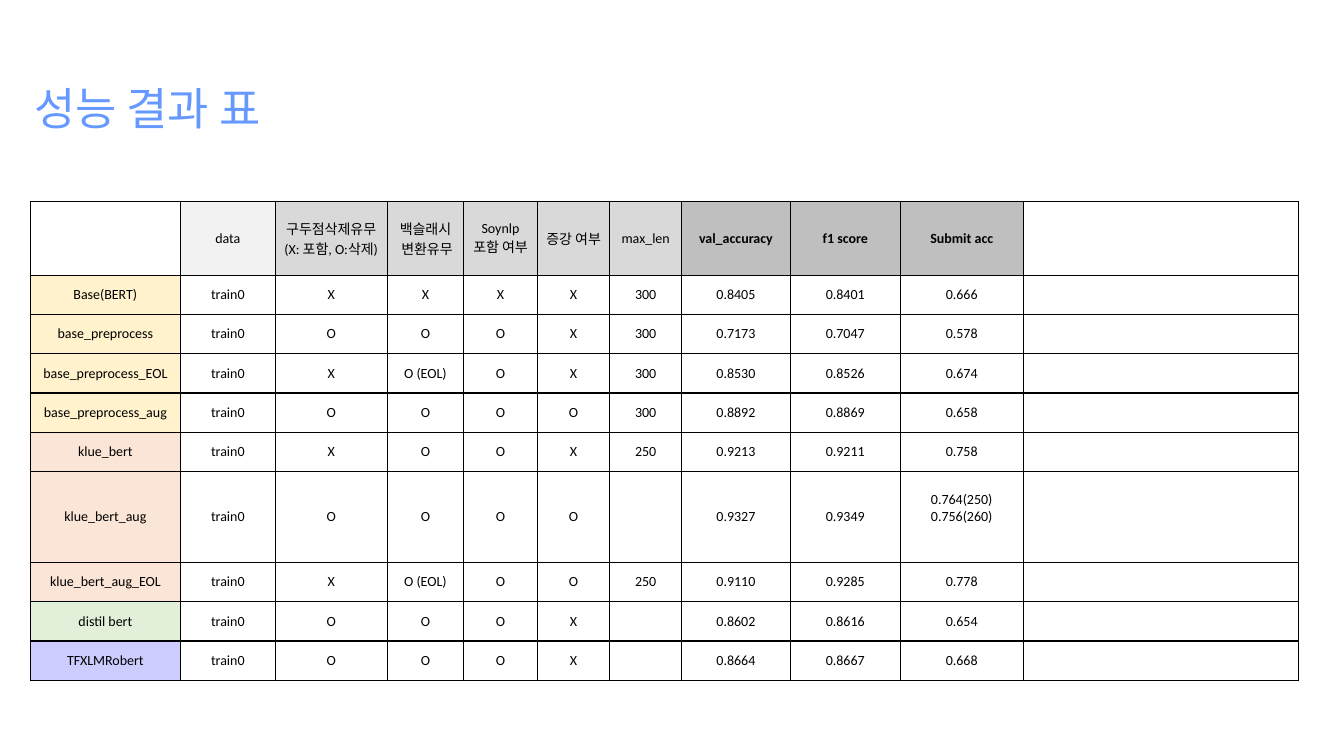
import dataclasses

import lxml.etree
import pptx
import pptx.dml.color
import pptx.enum.text
import pptx.oxml.ns
import pptx.table
import pptx.util

EMU_PER_PX = 9144


@dataclasses.dataclass(frozen=True)
class Theme:
    font: str = "Calibri"
    title_size: int = 32
    table_size: int = 10
    title: str = "6699FF"
    ink: str = "000000"
    blank: str = "FFFFFF"
    data_header: str = "F2F2F2"
    option_header: str = "D9D9D9"
    score_header: str = "BFBFBF"
    base: str = "FFF2CC"
    klue: str = "FBE5D6"
    distil: str = "E2F0D9"
    roberta: str = "CCCCFF"


@dataclasses.dataclass(frozen=True)
class Column:
    label: str
    width: int
    fill: str
    bold: bool = False


@dataclasses.dataclass(frozen=True)
class Result:
    model: str
    fill: str
    options: tuple[str, str, str, str]
    max_len: str
    scores: tuple[str, str, str]
    height: int = 39
    extra_bottom: int = 0

    def texts(self) -> list[str]:
        return [self.model, "train0", *self.options, self.max_len, *self.scores, ""]


THEME = Theme()
HEADER_HEIGHT = 73
COLUMNS = [
    Column("", 149, THEME.blank),
    Column("data", 94, THEME.data_header),
    Column("구두점삭제유무\n(X: 포함, O:삭제)", 111, THEME.option_header),
    Column("백슬래시\n 변환유무", 76, THEME.option_header),
    Column("Soynlp\n포함 여부", 73, THEME.option_header),
    Column("증강 여부", 72, THEME.option_header),
    Column("max_len", 71, THEME.option_header),
    Column("val_accuracy", 108, THEME.score_header, True),
    Column("f1 score", 109, THEME.score_header, True),
    Column("Submit acc", 122, THEME.score_header, True),
    Column("", 273, THEME.blank),
]
RESULTS = [
    Result("Base(BERT)", THEME.base, ("X", "X", "X", "X"), "300", ("0.8405", "0.8401", "0.666")),
    Result("base_preprocess", THEME.base, ("O", "O", "O", "X"), "300", ("0.7173", "0.7047", "0.578")),
    Result("base_preprocess_EOL", THEME.base, ("X", "O (EOL)", "O", "X"), "300", ("0.8530", "0.8526", "0.674")),
    Result("base_preprocess_aug", THEME.base, ("O", "O", "O", "O"), "300", ("0.8892", "0.8869", "0.658")),
    Result("klue_bert", THEME.klue, ("X", "O", "O", "X"), "250", ("0.9213", "0.9211", "0.758")),
    Result("klue_bert_aug", THEME.klue, ("O", "O", "O", "O"), "",
           ("0.9327", "0.9349", "0.764(250)\n0.756(260)"), 90, 17),
    Result("klue_bert_aug_EOL", THEME.klue, ("X", "O (EOL)", "O", "O"), "250", ("0.9110", "0.9285", "0.778")),
    Result("distil bert", THEME.distil, ("O", "O", "O", "X"), "", ("0.8602", "0.8616", "0.654")),
    Result("TFXLMRobert", THEME.roberta, ("O", "O", "O", "X"), "", ("0.8664", "0.8667", "0.668")),
]


def px(length: int) -> pptx.util.Emu:
    return pptx.util.Emu(length * EMU_PER_PX)


def colour(value: str) -> pptx.dml.color.RGBColor:
    return pptx.dml.color.RGBColor.from_string(value)


def write(para, text: str, size: int, ink: str, bold: bool = False) -> None:
    para.text = text
    for span in para.runs:
        span.font.name = THEME.font
        span.font.size = pptx.util.Pt(size)
        span.font.bold = bold
        span.font.color.rgb = colour(ink)


def add_borders(cell: pptx.table._Cell) -> None:
    qn = pptx.oxml.ns.qn
    properties = cell._tc.get_or_add_tcPr()
    for side in ("a:lnL", "a:lnR", "a:lnT", "a:lnB"):
        line = lxml.etree.SubElement(properties, qn(side), w=str(pptx.util.Pt(1)))
        fill = lxml.etree.SubElement(line, qn("a:solidFill"))
        lxml.etree.SubElement(fill, qn("a:srgbClr"), val=THEME.ink)


def fill_cell(cell: pptx.table._Cell, text: str, fill: str, bold: bool = False, extra_bottom: int = 0) -> None:
    cell.margin_left = cell.margin_right = px(6)
    cell.margin_top = px(3)
    cell.margin_bottom = px(3 + extra_bottom)
    cell.vertical_anchor = pptx.enum.text.MSO_ANCHOR.MIDDLE
    add_borders(cell)
    cell.fill.solid()
    cell.fill.fore_color.rgb = colour(fill)
    para = cell.text_frame.paragraphs[0]
    para.alignment = pptx.enum.text.PP_ALIGN.CENTER
    write(para, text, THEME.table_size, THEME.ink, bold)


def add_title(page) -> None:
    box = page.shapes.add_textbox(px(24), px(81), px(1242), px(84))
    box.text_frame.word_wrap = True
    para = box.text_frame.paragraphs[0]
    para.line_spacing = 0.9
    write(para, "성능 결과 표", THEME.title_size, THEME.title)


def add_results(page) -> None:
    heights = [HEADER_HEIGHT, *(result.height for result in RESULTS)]
    width = sum(column.width for column in COLUMNS)
    table = page.shapes.add_table(
        len(heights), len(COLUMNS), px(30), px(200), px(width), px(sum(heights))
    ).table
    table.first_row = False
    table.horz_banding = False
    for row, height in zip(table.rows, heights):
        row.height = px(height)
    for index, column in enumerate(COLUMNS):
        table.columns[index].width = px(column.width)
        fill_cell(table.cell(0, index), column.label, column.fill, column.bold)
    for row_index, result in enumerate(RESULTS, start=1):
        for index, text in enumerate(result.texts()):
            fill = THEME.blank if index else result.fill
            extra_bottom = result.extra_bottom if "\n" in text else 0
            fill_cell(table.cell(row_index, index), text, fill, extra_bottom=extra_bottom)


def main() -> None:
    deck = pptx.Presentation()
    deck.slide_width = px(1333)
    deck.slide_height = px(750)
    page = deck.slides.add_slide(deck.slide_layouts[6])
    add_results(page)
    add_title(page)
    deck.save("out.pptx")


if __name__ == "__main__":
    main()
